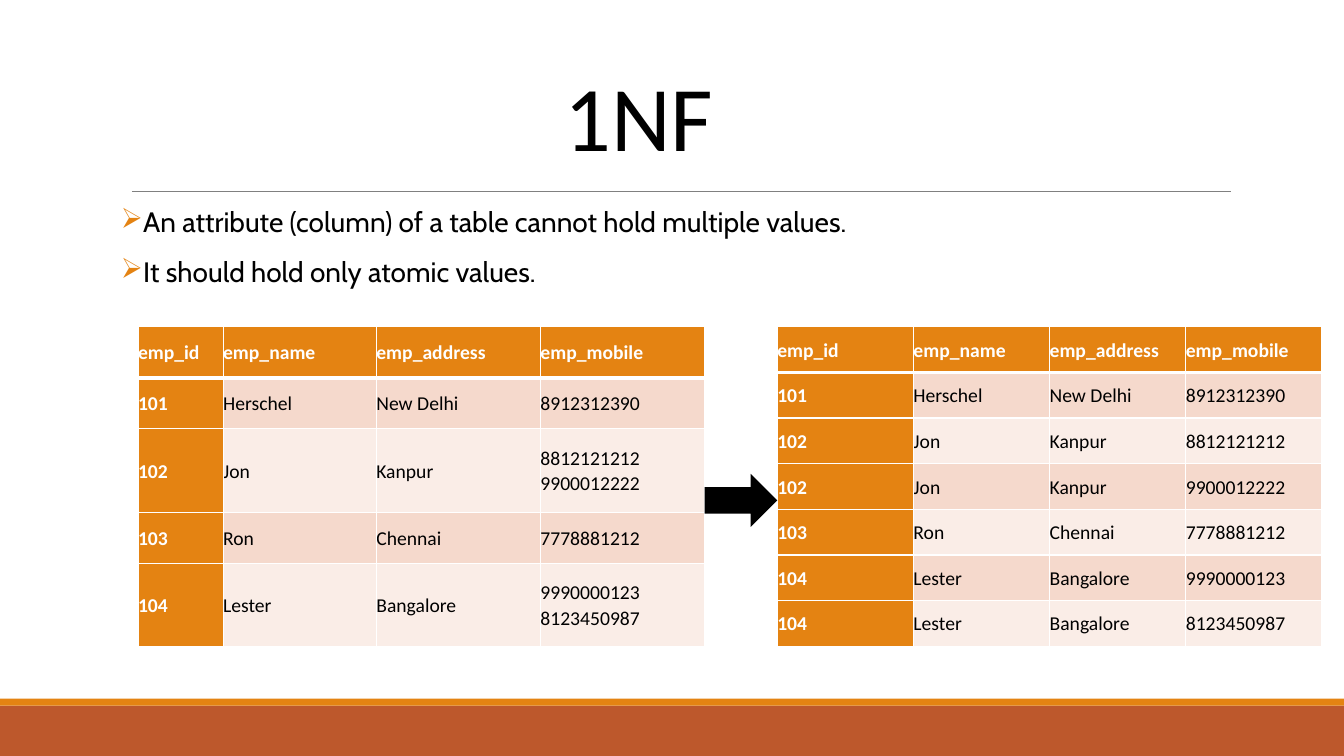
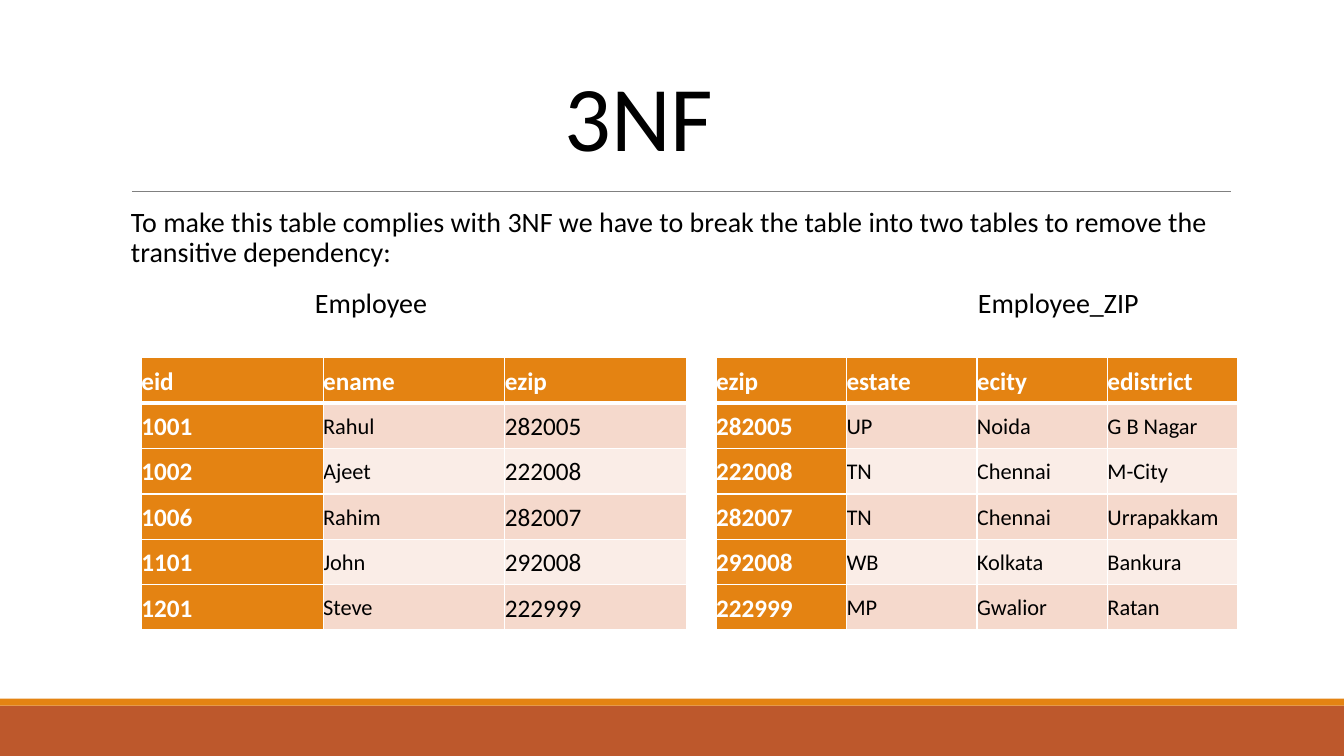
from itertools import accumulate

from lxml import etree
from pptx import Presentation
from pptx.dml.color import RGBColor
from pptx.enum import shapes, text
from pptx.oxml import ns
from pptx.util import Pt

# Content
SLIDES = [
    {
        "title": "1NF",
        "body": ["An attribute (column) of a table cannot hold multiple values.",
                 "It should hold only atomic values."],
        "body_font": "Cabin", "bullet": "➢", "captions": [],
        "tables": [
            {"at": (98.6, 233.4), "widths": [60.8, 109.5, 117.2, 117.2],
             "heights": [36.4, 36.4, 59.7, 36.4, 59.7], "sizes": [14] * 4,
             "rows": [
                 ("emp_id", "emp_name", "emp_address", "emp_mobile"),
                 ("101", "Herschel", "New Delhi", "8912312390"),
                 ("102", "Jon", "Kanpur", "8812121212\n9900012222"),
                 ("103", "Ron", "Chennai", "7778881212"),
                 ("104", "Lester", "Bangalore", "9990000123\n8123450987")]},
            {"at": (555.2, 233.4), "widths": [97.3] * 4,
             "heights": [32.6] * 7, "sizes": [14] * 4,
             "rows": [
                 ("emp_id", "emp_name", "emp_address", "emp_mobile"),
                 ("101", "Herschel", "New Delhi", "8912312390"),
                 ("102", "Jon", "Kanpur", "8812121212"),
                 ("102", "Jon", "Kanpur", "9900012222"),
                 ("103", "Ron", "Chennai", "7778881212"),
                 ("104", "Lester", "Bangalore", "9990000123"),
                 ("104", "Lester", "Bangalore", "8123450987")]},
        ],
        "arrow": (338.4, 38),  # top, height
    },
    {
        "title": "3NF",
        "body": ["To make this table complies with 3NF we have to break the table "
                 "into two tables to remove the transitive dependency:"],
        "body_font": "Calibri", "bullet": None,
        "captions": [("Employee", 225), ("Employee_ZIP", 698.5)],
        "tables": [
            {"at": (101, 255.6), "widths": [129.8] * 3,
             "heights": [32.4] * 6, "sizes": [18, 16, 18],
             "rows": [
                 ("eid", "ename", "ezip"),
                 ("1001", "Rahul", "282005"),
                 ("1002", "Ajeet", "222008"),
                 ("1006", "Rahim", "282007"),
                 ("1101", "John", "292008"),
                 ("1201", "Steve", "222999")]},
            {"at": (511.5, 255.6), "widths": [93.2] * 4,
             "heights": [32.4] * 6, "sizes": [18, 16, 16, 16],
             "rows": [
                 ("ezip", "estate", "ecity", "edistrict"),
                 ("282005", "UP", "Noida", "G B Nagar"),
                 ("222008", "TN", "Chennai", "M-City"),
                 ("282007", "TN", "Chennai", "Urrapakkam"),
                 ("292008", "WB", "Kolkata", "Bankura"),
                 ("222999", "MP", "Gwalior", "Ratan")]},
        ],
        "arrow": None,
    },
]

# Shared style
COLORS = {"band": "BD582C", "accent": "E48312", "rule": "808080", "ink": "000000",
          "paper": "FFFFFF", "odd": "F5D9CC", "even": "FAEDE7"}
WIDTH, HEIGHT = 960, 540
TITLE_BOX = (396, 38.9, 172.8, 87.1)
BODY_BOX = (86.4, 145.4, 792, 316.8)
BANDS = [("band", 504, 36), ("accent", 499, 5)]
RULE = (94.3, 879.1, 136.8)  # left, right, height on the slide
CAPTION_TOP, CAPTION_SIZE = 200.6, (150, 31.6)
FRAME = {"word_wrap": True, "auto_size": text.MSO_AUTO_SIZE.NONE,
         "vertical_anchor": text.MSO_ANCHOR.TOP}
BODY_FRAME = {**FRAME, "margin_left": 0, "margin_right": 0}
BODY_PARA = {"line_spacing": 0.9, "space_before": Pt(12), "space_after": Pt(2)}
CELL = {"margin_left": 0, "margin_right": 0, "margin_top": Pt(4.4),
        "margin_bottom": Pt(4.4), "vertical_anchor": text.MSO_ANCHOR.MIDDLE}


def rgb(name):
    return RGBColor.from_string(COLORS[name])


def points(values):
    return [Pt(value) for value in values]


def apply(target, values):
    for key, value in values.items():
        setattr(target, key, value)


def set_font(paragraph, size, color="ink", name="Calibri", bold=False):
    apply(paragraph.font, {"size": Pt(size), "name": name, "bold": bold})
    paragraph.font.color.rgb = rgb(color)


def add_block(slide, preset, box, color):
    block = slide.shapes.add_shape(preset, *points(box))
    block.shadow.inherit = False
    block.fill.solid()
    block.fill.fore_color.rgb = rgb(color)
    block.line.fill.background()
    return block


def furnish_layout(layout, slide):
    """Draw the bands and the rule, then move them to the shared layout."""
    parts = [add_block(slide, shapes.MSO_SHAPE.RECTANGLE, (0, top, WIDTH, height), color)
             for color, top, height in BANDS]
    left, right, y = RULE
    rule = slide.shapes.add_connector(shapes.MSO_CONNECTOR.STRAIGHT,
                                      *points((left, y, right, y)))
    rule.line.color.rgb = rgb("rule")
    rule.line.width = Pt(0.5)
    etree.SubElement(rule.element.spPr, ns.qn("a:effectLst"))
    for part in parts + [rule]:
        layout.shapes.element.append(part.element)


def add_title(slide, words):
    title = slide.shapes.title
    apply(title, dict(zip(("left", "top", "width", "height"), points(TITLE_BOX))))
    title.text_frame.text = words
    apply(title.text_frame, FRAME)
    paragraph = title.text_frame.paragraphs[0]
    paragraph.alignment = text.PP_ALIGN.LEFT
    set_font(paragraph, 66)


def add_body(slide, lines, font, bullet):
    frame = slide.shapes.add_textbox(*points(BODY_BOX)).text_frame
    apply(frame, BODY_FRAME)
    frame.text = "\n".join(lines)
    for paragraph in frame.paragraphs:
        apply(paragraph, BODY_PARA)
        set_font(paragraph, 20, name=font)
        props = paragraph._p.get_or_add_pPr()
        props.set("marL", str(Pt(7.2)))
        if bullet:
            props.set("indent", str(-Pt(7.2)))
            mark = etree.Element(ns.qn("a:buChar"), char=bullet)
            tint = etree.Element(ns.qn("a:buClr"))
            etree.SubElement(tint, ns.qn("a:srgbClr"), val=COLORS["accent"])
            run_defaults = props.find(ns.qn("a:defRPr"))
            for node in (tint, mark):
                run_defaults.addprevious(node)


def add_caption(slide, words, left):
    box = (left, CAPTION_TOP, *CAPTION_SIZE)
    frame = slide.shapes.add_textbox(*points(box)).text_frame
    apply(frame, BODY_FRAME)
    frame.text = words
    set_font(frame.paragraphs[0], 20)


def set_borders(cell, row):
    """White cell edges, with a heavier one under the header row."""
    heavy = {0: "B", 1: "T"}.get(row)
    props = cell._tc.get_or_add_tcPr()
    for index, side in enumerate("LRTB"):
        edge = etree.Element(ns.qn(f"a:ln{side}"), w=str(Pt(3 if side == heavy else 1)))
        fill = etree.SubElement(edge, ns.qn("a:solidFill"))
        etree.SubElement(fill, ns.qn("a:srgbClr"), val=COLORS["paper"])
        props.insert(index, edge)


def add_grid(slide, at, widths, heights, sizes, rows):
    box = (*at, sum(widths), sum(heights))
    table = slide.shapes.add_table(len(rows), len(widths), *points(box)).table
    for column, width in zip(table.columns, widths):
        column.width = Pt(width)
    for row, height in zip(table.rows, heights):
        row.height = Pt(height)
    for r, values in enumerate(rows):
        for c, value in enumerate(values):
            heading = r == 0 or c == 0
            cell = table.cell(r, c)
            cell.text = value
            apply(cell, CELL)
            cell.fill.solid()
            cell.fill.fore_color.rgb = rgb("accent" if heading else
                                           "odd" if r % 2 else "even")
            set_borders(cell, r)
            for paragraph in cell.text_frame.paragraphs:
                paragraph.line_spacing = 1.07
                set_font(paragraph, sizes[0] if r == 0 else sizes[c],
                         "paper" if heading else "ink", bold=heading)


def add_arrow(slide, before, after, top, height):
    """Fill the gap between two tables."""
    left = list(accumulate(before["widths"], initial=before["at"][0]))[-1]
    add_block(slide, shapes.MSO_SHAPE.RIGHT_ARROW,
              (left, top, after["at"][0] - left, height), "ink")


def main():
    deck = Presentation()
    deck.slide_width, deck.slide_height = points((WIDTH, HEIGHT))
    layout = deck.slide_layouts[5]
    for number, content in enumerate(SLIDES):
        slide = deck.slides.add_slide(layout)
        if number == 0:
            furnish_layout(layout, slide)
        add_title(slide, content["title"])
        add_body(slide, content["body"], content["body_font"], content["bullet"])
        for caption in content["captions"]:
            add_caption(slide, *caption)
        for grid in content["tables"]:
            add_grid(slide, **grid)
        if content["arrow"]:
            add_arrow(slide, *content["tables"], *content["arrow"])
    deck.save("out.pptx")


if __name__ == "__main__":
    main()
